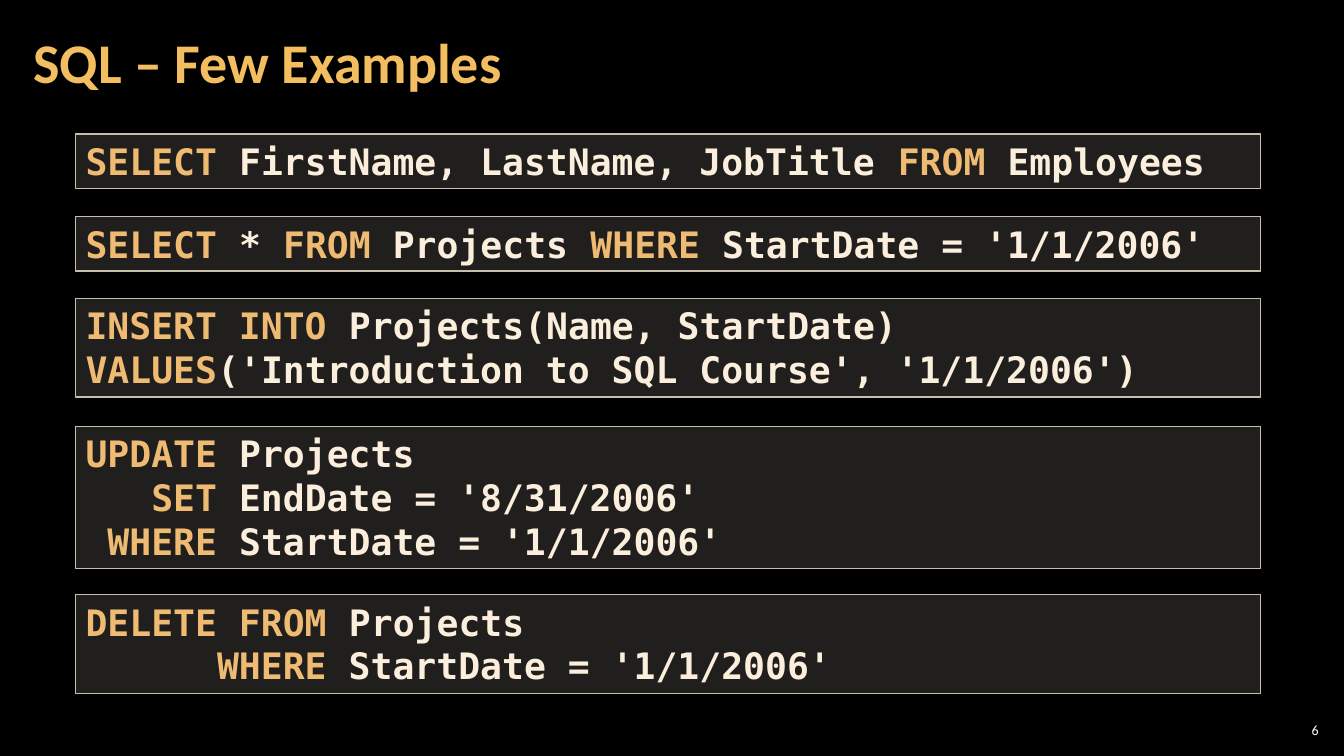
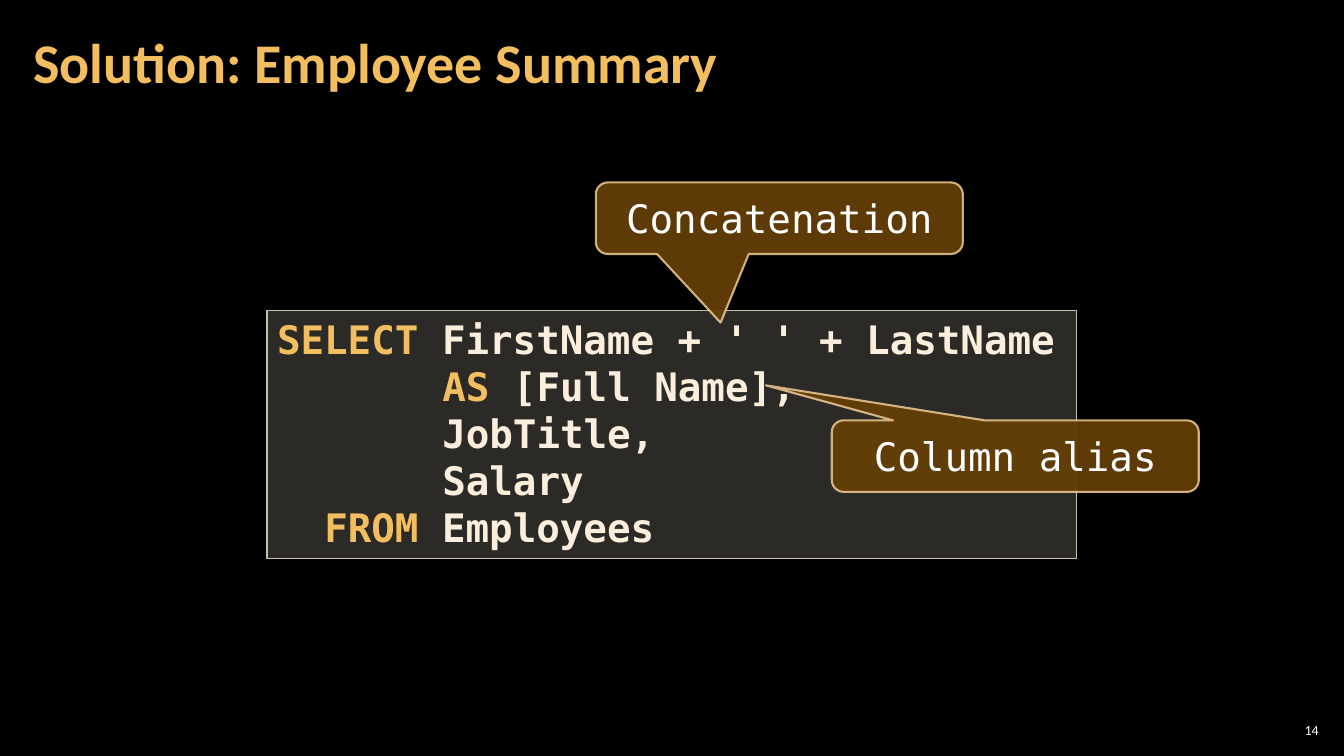
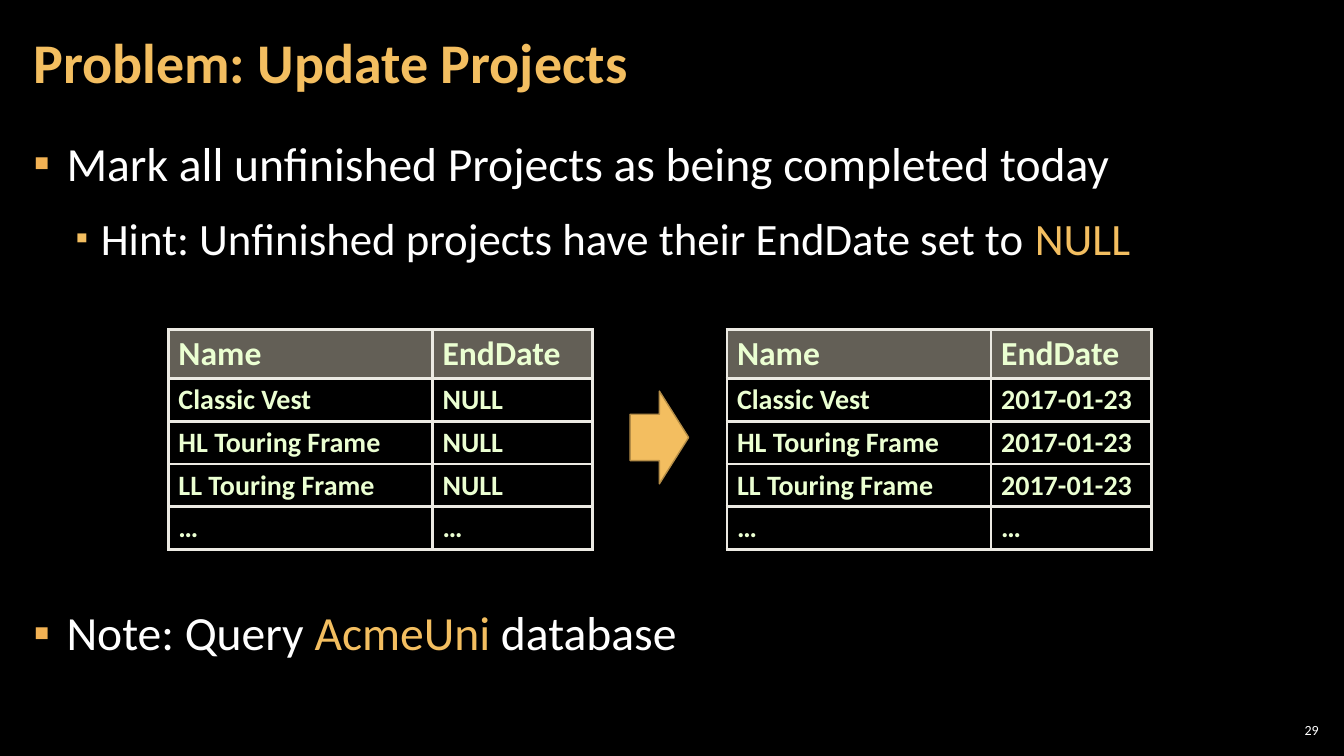
"""Build three slides on SQL queries: examples, a solution and a problem."""
from dataclasses import dataclass

from lxml import etree
from pptx import Presentation
from pptx import presentation as deck
from pptx import slide as slides
from pptx import util as u
from pptx.dml import color, fill as fills
from pptx.enum import shapes, text
from pptx.oxml import ns
from pptx.shapes import autoshape
from pptx.text import text as texts

SANS, MONO = "Calibri", "DejaVu Sans Mono"
MONO_ADVANCE = 0.602
BLACK, WHITE, CREAM, GOLD = "000000", "FFFFFF", "FBEEDC", "F3BE60"
SOFT_GOLD, BULLET_GOLD = "EFBB72", "F2B254"
PANEL, PANEL_EDGE = "D9D5C7", "C7BFAC"
CALLOUT, CALLOUT_EDGE = "643F07", "F8D49E"
TABLE_TEXT, TABLE_EDGE, ARROW_EDGE = "EBFFD2", "ECEAE3", "B48D47"
TITLE_ONLY, TITLE_AND_BODY = 5, 1
SIDES = ("lnL", "lnR", "lnT", "lnB")


@dataclass(frozen=True)
class Style:
    size: int
    font: str = SANS
    plain: str = WHITE
    accent: str = GOLD
    bold: bool = False


@dataclass(frozen=True)
class CodeLine:
    marked: str
    column: int = 0


@dataclass(frozen=True)
class CodeBox:
    left: float
    top: float
    width: float
    height: float
    lines: tuple[CodeLine, ...]


@dataclass(frozen=True)
class Callout:
    label: str
    left: float
    top: float
    tip: tuple[float, float]


@dataclass(frozen=True)
class Bullet:
    marked: str
    size: int = 34
    level: int = 0
    margin: float = 0.33
    hanging: float = 0.33
    before: int = 6
    colour: str = BULLET_GOLD
    scale: int = 100


@dataclass(frozen=True)
class ProjectTable:
    left: float
    end_dates: tuple[str, ...]


TITLE_STYLE = Style(40, plain=GOLD, bold=True)
NUMBER_STYLE = Style(10)
EXAMPLE_STYLE = Style(26, MONO, CREAM, SOFT_GOLD, True)
SOLUTION_STYLE = Style(28, MONO, CREAM, GOLD, True)
CALLOUT_STYLE = Style(28, MONO)
HEADER_STYLE = Style(24, plain=TABLE_TEXT, bold=True)
CELL_STYLE = Style(20, plain=TABLE_TEXT, bold=True)

EXAMPLES = (
    CodeBox(0.75, 1.33, 11.75, 0.54, (
        CodeLine("|SELECT| FirstName, LastName, JobTitle |FROM| Employees"),)),
    CodeBox(0.75, 2.15, 11.75, 0.54, (
        CodeLine("|SELECT| * |FROM| Projects |WHERE| StartDate = '1/1/2006'"),)),
    CodeBox(0.75, 2.96, 11.75, 0.98, (
        CodeLine("|INSERT INTO| Projects(Name, StartDate)"),
        CodeLine("|VALUES|('Introduction to SQL Course', '1/1/2006')"))),
    CodeBox(0.75, 4.23, 11.75, 1.41, (
        CodeLine("|UPDATE| Projects"),
        CodeLine("|SET| EndDate = '8/31/2006'", 3),
        CodeLine("|WHERE| StartDate = '1/1/2006'", 1))),
    CodeBox(0.75, 5.9, 11.75, 0.98, (
        CodeLine("|DELETE FROM| Projects"),
        CodeLine("|WHERE| StartDate = '1/1/2006'", 6))),
)
SOLUTION = CodeBox(2.65, 3.08, 8.03, 2.46, (
    CodeLine("|SELECT| FirstName + ' ' + LastName"),
    CodeLine("|AS| [Full Name],", 7),
    CodeLine("JobTitle,", 7),
    CodeLine("Salary", 7),
    CodeLine("|FROM| Employees", 2)))
CALLOUTS = (
    Callout("Concatenation", 5.91, 1.81, (-0.16, 1.46)),
    Callout("Column alias", 8.25, 4.17, (-0.68, -0.99)),
)
BULLETS = (
    Bullet("Mark all unfinished Projects as being completed today"),
    Bullet("Hint: Unfinished projects have their EndDate set to |NULL|",
           32, 1, 0.67, 0.25, colour=GOLD, scale=80),
    Bullet("Note: Query |AcmeUni| database", before=234),
)
PROJECTS = ("Classic Vest", "HL Touring Frame", "LL Touring Frame", "…")
TABLES = (
    ProjectTable(1.67, ("NULL",) * 3 + ("…",)),
    ProjectTable(7.21, ("2017-01-23",) * 3 + ("…",)),
)


def rgb(value: str) -> color.RGBColor:
    """Turn a hex string into a colour."""
    return color.RGBColor.from_string(value)


def add_child(parent: etree._Element, tag: str, **attributes: str) -> etree._Element:
    """Append a DrawingML element."""
    return etree.SubElement(parent, ns.qn(f"a:{tag}"), attributes)


def paint(fill: fills.FillFormat, value: str, opacity: int = 100) -> None:
    """Apply a solid fill with an opacity in percent."""
    fill.solid()
    fill.fore_color.rgb = rgb(value)
    if opacity < 100:
        solid = fill._xPr.find(ns.qn("a:solidFill"))
        add_child(solid[0], "alpha", val=str(opacity * 1000))


def write(paragraph: texts._Paragraph, marked: str, style: Style) -> None:
    """Write text whose pieces between bars take the accent colour."""
    paragraph.font.name = style.font
    paragraph.font.size = u.Pt(style.size)
    paragraph.font.bold = style.bold
    for index, piece in enumerate(marked.split("|")):
        if piece:
            run = paragraph.add_run()
            run.text = piece
            run.font.color.rgb = rgb(style.accent if index % 2 else style.plain)


def set_frame(frame: texts.TextFrame, anchor: text.MSO_ANCHOR,
              side: float = 0.1, edge: float = 0.05) -> None:
    """Set wrapping, anchor and insets of a text frame."""
    frame.word_wrap = True
    frame.auto_size = text.MSO_AUTO_SIZE.NONE
    frame.vertical_anchor = anchor
    frame.margin_left = frame.margin_right = u.Inches(side)
    frame.margin_top = frame.margin_bottom = u.Inches(edge)


def place(shape: autoshape.Shape, left: float, top: float,
          width: float, height: float) -> None:
    """Move and size a shape, in inches."""
    shape.left, shape.top = u.Inches(left), u.Inches(top)
    shape.width, shape.height = u.Inches(width), u.Inches(height)


def add_slide(presentation: deck.Presentation, layout: int,
              title: str, number: str) -> slides.Slide:
    """Add a slide with its title and number."""
    slide = presentation.slides.add_slide(presentation.slide_layouts[layout])
    heading = slide.shapes.title
    place(heading, 0.21, 0.04, 10.47, 1.21)
    set_frame(heading.text_frame, text.MSO_ANCHOR.MIDDLE, 0.12, 0.04)
    paragraph = heading.text_frame.paragraphs[0]
    paragraph.alignment = text.PP_ALIGN.LEFT
    paragraph.line_spacing = 0.9
    write(paragraph, title, TITLE_STYLE)
    box = slide.shapes.add_textbox(u.Inches(12.65), u.Inches(7.14),
                                   u.Inches(0.47), u.Inches(0.21))
    set_frame(box.text_frame, text.MSO_ANCHOR.MIDDLE, 0.04, 0.04)
    paragraph = box.text_frame.paragraphs[0]
    paragraph.alignment = text.PP_ALIGN.RIGHT
    write(paragraph, number, NUMBER_STYLE)
    return slide


def add_shape(slide: slides.Slide, kind: shapes.MSO_SHAPE,
              area: tuple[float, float, float, float],
              fill: tuple[str, int], edge: tuple[str, int],
              weight: float = 1) -> autoshape.Shape:
    """Add a preset shape with fill and edge given as colour and opacity."""
    shape = slide.shapes.add_shape(kind, *map(u.Inches, area))
    shape.shadow.inherit = False
    paint(shape.fill, *fill)
    paint(shape.line.fill, *edge)
    shape.line.width = u.Pt(weight)
    return shape


def add_code(slide: slides.Slide, box: CodeBox, style: Style, opacity: int) -> None:
    """Add a panel of code, indented by whole characters."""
    area = (box.left, box.top, box.width, box.height)
    shape = add_shape(slide, shapes.MSO_SHAPE.RECTANGLE, area,
                      (PANEL, opacity), (PANEL_EDGE, 100))
    frame = shape.text_frame
    set_frame(frame, text.MSO_ANCHOR.TOP)
    frame.auto_size = text.MSO_AUTO_SIZE.SHAPE_TO_FIT_TEXT
    for index, line in enumerate(box.lines):
        paragraph = frame.add_paragraph() if index else frame.paragraphs[0]
        paragraph.alignment = text.PP_ALIGN.LEFT
        indent = u.Pt(line.column * style.size * MONO_ADVANCE)
        paragraph._p.get_or_add_pPr().set("marL", str(indent))
        write(paragraph, line.marked, style)


def add_callout(slide: slides.Slide, callout: Callout) -> None:
    """Add a rounded callout with its pointer."""
    shape = add_shape(slide, shapes.MSO_SHAPE.ROUNDED_RECTANGULAR_CALLOUT,
                      (callout.left, callout.top, 3.64, 0.71),
                      (CALLOUT, 95), (CALLOUT_EDGE, 80), 1.5)
    shape.adjustments[0], shape.adjustments[1] = callout.tip
    set_frame(shape.text_frame, text.MSO_ANCHOR.MIDDLE)
    paragraph = shape.text_frame.paragraphs[0]
    paragraph.alignment = text.PP_ALIGN.CENTER
    write(paragraph, callout.label, CALLOUT_STYLE)


def add_bullets(slide: slides.Slide, bullets: tuple[Bullet, ...]) -> None:
    """Fill the body placeholder with a bulleted list."""
    body = slide.placeholders[1]
    place(body, 0.21, 1.26, 12.91, 6.09)
    frame = body.text_frame
    set_frame(frame, text.MSO_ANCHOR.TOP, 0.12, 0.04)
    for index, bullet in enumerate(bullets):
        paragraph = frame.add_paragraph() if index else frame.paragraphs[0]
        paragraph.level = bullet.level
        paragraph.line_spacing = 1.05
        paragraph.space_before = u.Pt(bullet.before)
        paragraph.space_after = u.Pt(6)
        properties = paragraph._p.get_or_add_pPr()
        properties.set("marL", str(u.Inches(bullet.margin)))
        properties.set("indent", str(-u.Inches(bullet.hanging)))
        add_child(add_child(properties, "buClr"), "srgbClr", val=bullet.colour)
        add_child(properties, "buSzPct", val=str(bullet.scale * 1000))
        add_child(properties, "buChar", char="▪")
        write(paragraph, bullet.marked, Style(bullet.size))


def add_project_table(slide: slides.Slide, data: ProjectTable) -> None:
    """Add a bordered table of projects and end dates."""
    rows = (("Name", "EndDate"), *zip(PROJECTS, data.end_dates))
    table = slide.shapes.add_table(len(rows), 2, u.Inches(data.left), u.Inches(3.27),
                                   u.Inches(4.21), u.Inches(2.16)).table
    table.horz_banding = False
    for column, width in zip(table.columns, (2.62, 1.59)):
        column.width = u.Inches(width)
    for row_index, values in enumerate(rows):
        table.rows[row_index].height = u.Inches(0.42 if row_index else 0.48)
        for column_index, value in enumerate(values):
            cell = table.cell(row_index, column_index)
            properties = cell._tc.get_or_add_tcPr()
            for side in SIDES:
                border = add_child(properties, side, w=str(u.Pt(2.25)))
                add_child(add_child(border, "solidFill"), "srgbClr", val=TABLE_EDGE)
            if row_index:
                cell.fill.background()
            else:
                paint(cell.fill, PANEL_EDGE, 50)
            paragraph = cell.text_frame.paragraphs[0]
            paragraph.line_spacing = 0.95
            write(paragraph, value, CELL_STYLE if row_index else HEADER_STYLE)


def main() -> None:
    """Build and save the presentation."""
    presentation = Presentation()
    presentation.slide_width = u.Inches(13.33)
    presentation.slide_height = u.Inches(7.5)
    paint(presentation.slide_master.background.fill, BLACK)

    examples = add_slide(presentation, TITLE_ONLY, "SQL – Few Examples", "6")
    for box in EXAMPLES:
        add_code(examples, box, EXAMPLE_STYLE, 15)

    solution = add_slide(presentation, TITLE_ONLY, "Solution: Employee Summary", "14")
    add_code(solution, SOLUTION, SOLUTION_STYLE, 20)
    for callout in CALLOUTS:
        add_callout(solution, callout)

    problem = add_slide(presentation, TITLE_AND_BODY, "Problem: Update Projects", "29")
    add_bullets(problem, BULLETS)
    for table in TABLES:
        add_project_table(problem, table)
    add_shape(problem, shapes.MSO_SHAPE.RIGHT_ARROW, (6.25, 3.88, 0.58, 0.92),
              (GOLD, 100), (ARROW_EDGE, 100))

    presentation.save("out.pptx")


if __name__ == "__main__":
    main()
